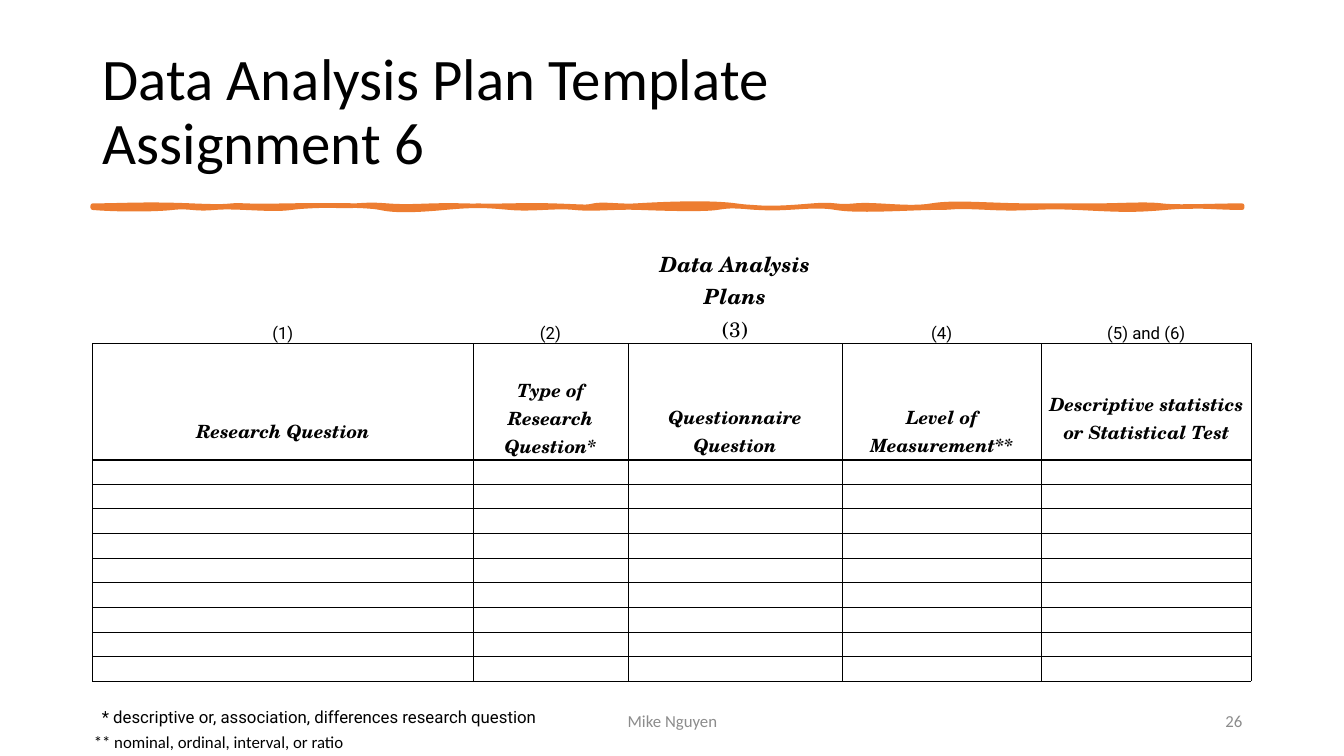
from dataclasses import dataclass

from lxml.etree import SubElement
from pptx import Presentation
from pptx.dml.color import RGBColor
from pptx.enum.text import MSO_ANCHOR as Anchor, PP_ALIGN as Align
from pptx.oxml.ns import qn
from pptx.util import Inches, Pt


@dataclass(frozen=True)
class Theme:
    ink: str = "000000"
    muted: str = "8C8C8C"
    accent: str = "ED7D31"
    sans: str = "Calibri"
    label: str = "Roboto"
    serif: str = "TeX Gyre Schola"
    title: float = 42
    caption: float = 15
    heading: float = 13
    small: float = 12
    blank: int = 8


THEME = Theme()
COLUMNS = [3.77, 1.54, 2.12, 1.98, 2.08]
HEADINGS = ["Research Question", "Type of Research Question*", "Questionnaire Question",
            "Level of Measurement**", "Descriptive statistics or Statistical Test"]
NUMBERS = ["(1)", "(2)", "(3)", "(4)", "(5) and (6)"]
LOWERED = (0, 2, 3)
HEAD_ROW, FIRST_BLANK, BLANK_ROWS = 3, 4, 9
LAST_BLANK = FIRST_BLANK + BLANK_ROWS - 1
ROWS = [0.65, 0.31, 0.32, 0.83] + [2.2 / BLANK_ROWS] * BLANK_ROWS + [0.21, 0.25, 0.25]

TOP_Y, BOTTOM_Y = 2.04, 2.06
TOP_WAVE = [
    (1.19, 2.04, 1.44, 2.02, 1.9), (2.37, 2.06, 2.2, 2.03, 2.44),
    (2.67, 2.05, 3.03, 2.03, 3.31), (3.6, 2.05, 3.59, 2.02, 3.84),
    (4.1, 2.06, 4.23, 2.03, 4.6), (4.98, 2.05, 5.14, 2.03, 5.48),
    (5.81, 2.05, 5.81, 2.06, 5.89), (5.98, 2.02, 6.15, 2.05, 6.31),
    (6.47, 2.03, 7.01, 2, 7.3), (7.59, 2.08, 7.81, 2.06, 8.06),
    (8.31, 2.02, 8.27, 2.06, 8.48), (8.68, 2.02, 9.01, 2.08, 9.24),
    (9.47, 2, 9.82, 2.04, 10.23), (10.63, 2.04, 10.63, 2.04, 10.87),
    (11.12, 2.04, 11.36, 2.02, 11.52), (11.68, 2.06, 12.03, 2.04, 12.32)]
BOTTOM_WAVE = [
    (12.05, 2.06, 11.89, 2.03, 11.56), (11.22, 2.09, 11.1, 2.08, 10.68),
    (10.27, 2.04, 10.23, 2.08, 9.81), (9.39, 2.04, 9.52, 2.06, 9.28),
    (9.04, 2.06, 8.51, 2.1, 8.29), (8.06, 2.02, 7.82, 2.08, 7.53),
    (7.24, 2.04, 7.25, 2.04, 7.11), (6.98, 2.08, 6.61, 2.07, 6.35),
    (6.09, 2.05, 5.9, 2.08, 5.7), (5.51, 2.04, 5.28, 2.08, 5.06),
    (4.83, 2.04, 4.73, 2.03, 4.41), (4.09, 2.09, 3.9, 2.09, 3.77),
    (3.63, 2.03, 3.1, 2.03, 2.89), (2.68, 2.09, 2.35, 2.04, 2.13),
    (1.92, 2.08, 1.89, 2.04, 1.71), (1.54, 2.08, 1.14, 2.08, 0.92)]


def write(frame, text, size, face=THEME.sans, color=THEME.ink, align=Align.LEFT,
          strong=False, leading=None):
    para = frame.paragraphs[0]
    para.text = text
    para.alignment = align
    if leading:
        para.line_spacing = leading
    for span in para.runs:
        font = span.font
        font.size, font.name, font.bold, font.italic = Pt(size), face, strong, strong
        font.color.rgb = RGBColor.from_string(color)


def line_below(row):
    """Return the width in points of the rule under a table row."""
    if row == HEAD_ROW:
        return 1.5
    return 0.5 if row == 1 or FIRST_BLANK <= row <= LAST_BLANK else 0


class SlideBuilder:
    def __init__(self, deck, theme):
        self.theme = theme
        self.page = deck.slides.add_slide(deck.slide_layouts[6])

    def text(self, bounds, text, size, **style):
        box = self.page.shapes.add_textbox(*map(Inches, bounds))
        frame = box.text_frame
        frame.word_wrap = True
        frame.vertical_anchor = Anchor.MIDDLE
        write(frame, text, size, **style)

    def brush_rule(self, left, right):
        straight = (right, BOTTOM_Y, right, BOTTOM_Y, right)
        curves = ([(*curve, TOP_Y) for curve in TOP_WAVE]
                  + [(*curve, BOTTOM_Y) for curve in [straight] + BOTTOM_WAVE])
        pen = self.page.shapes.build_freeform(Inches(left), Inches(TOP_Y))
        pen.add_line_segments([(Inches(x), Inches(y)) for *_, x, y in curves])
        rule = pen.convert_to_shape()
        segments = list(rule._element.iter(qn("a:lnTo")))
        for segment, curve in zip(segments, curves):
            bend = SubElement(segment.getparent(), qn("a:cubicBezTo"))
            for x, y in zip(curve[::2], curve[1::2]):
                SubElement(bend, qn("a:pt"), x=str(Inches(x) - rule.left),
                           y=str(Inches(y) - rule.top))
            segment.getparent().replace(segment, bend)
        rule.shadow.inherit = False
        color = RGBColor.from_string(self.theme.accent)
        rule.fill.solid()
        rule.fill.fore_color.rgb = color
        rule.line.color.rgb = color
        rule.line.width = Pt(3.25)
        SubElement(rule.line._get_or_add_ln(), qn("a:round"))

    def border(self, cell, row):
        ruled = 0.5 if 2 <= row <= LAST_BLANK else 0
        widths = {"L": ruled, "R": ruled, "T": line_below(row - 1), "B": line_below(row)}
        props = cell._tc.get_or_add_tcPr()
        for side, width in widths.items():
            edge = SubElement(props, qn(f"a:ln{side}"), w=str(Pt(width)))
            if width:
                fill = SubElement(edge, qn("a:solidFill"))
                SubElement(fill, qn("a:srgbClr"), val=self.theme.ink)
            else:
                SubElement(edge, qn("a:noFill"))

    def plan_table(self, left, top):
        shape = self.page.shapes.add_table(
            len(ROWS), len(COLUMNS), Inches(left), Inches(top),
            Inches(sum(COLUMNS)), Inches(sum(ROWS)))
        table = shape.table
        table.first_row = table.horz_banding = False
        for column, width in zip(table.columns, COLUMNS):
            column.width = Inches(width)
        for index, (row, height) in enumerate(zip(table.rows, ROWS)):
            row.height = Inches(height)
            for cell in row.cells:
                cell.margin_left = cell.margin_right = cell.margin_top = Inches(0.01)
                cell.margin_bottom = 0
                cell.vertical_anchor = Anchor.BOTTOM
                self.border(cell, index)
                cell.fill.background()
                ending = cell.text_frame.paragraphs[0]._p.get_or_add_endParaRPr()
                ending.set("sz", str(self.theme.blank * 100))
        return table

    def fill_plan(self, table):
        theme = self.theme
        write(table.cell(0, 2).text_frame, "Data Analysis Plans", theme.caption,
              face=theme.serif, align=Align.CENTER, strong=True)
        for column, (number, heading) in enumerate(zip(NUMBERS, HEADINGS)):
            middle = column == 2
            write(table.cell(1, column).text_frame, number,
                  theme.caption if middle else theme.small,
                  face=theme.serif if middle else theme.label, align=Align.CENTER)
            cell = table.cell(HEAD_ROW, column)
            cell.vertical_anchor = Anchor.MIDDLE
            if column in LOWERED:
                cell.margin_top = Inches(0.27)
            write(cell.text_frame, heading, theme.heading,
                  face=theme.serif, align=Align.CENTER, strong=True)
        notes = [("* descriptive or, association, differences research question", theme.label, 0.09),
                 ("** nominal, ordinal, interval, or ratio", theme.sans, 0.01)]
        for row, (note, face, indent) in enumerate(notes, LAST_BLANK + 2):
            cell = table.cell(row, 0)
            cell.merge(table.cell(row, 1))
            cell.margin_left = Inches(indent)
            write(cell.text_frame, note, theme.small, face=face)


def main():
    deck = Presentation()
    deck.slide_width, deck.slide_height = Inches(13.33), Inches(7.5)
    page = SlideBuilder(deck, THEME)
    page.text((0.92, 0.4, 11.5, 1.45), "Data Analysis Plan Template\vAssignment 6",
              THEME.title, leading=0.9)
    page.brush_rule(0.92, 12.32)
    page.text((4.42, 6.95, 4.5, 0.4), "Mike Nguyen", THEME.small,
              color=THEME.muted, align=Align.CENTER)
    page.text((9.42, 6.95, 3, 0.4), "26", THEME.small,
              color=THEME.muted, align=Align.RIGHT)
    page.fill_plan(page.plan_table(0.92, 2.45))
    deck.save("out.pptx")


if __name__ == "__main__":
    main()
